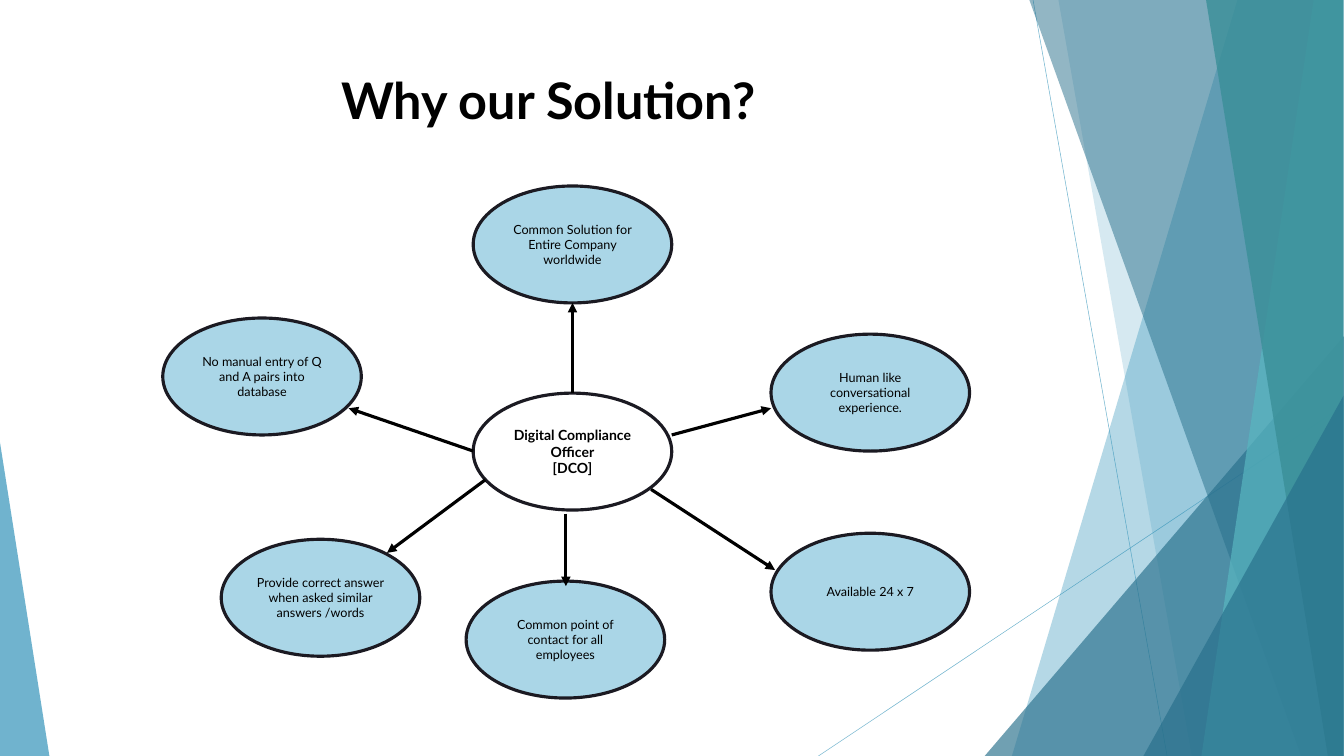
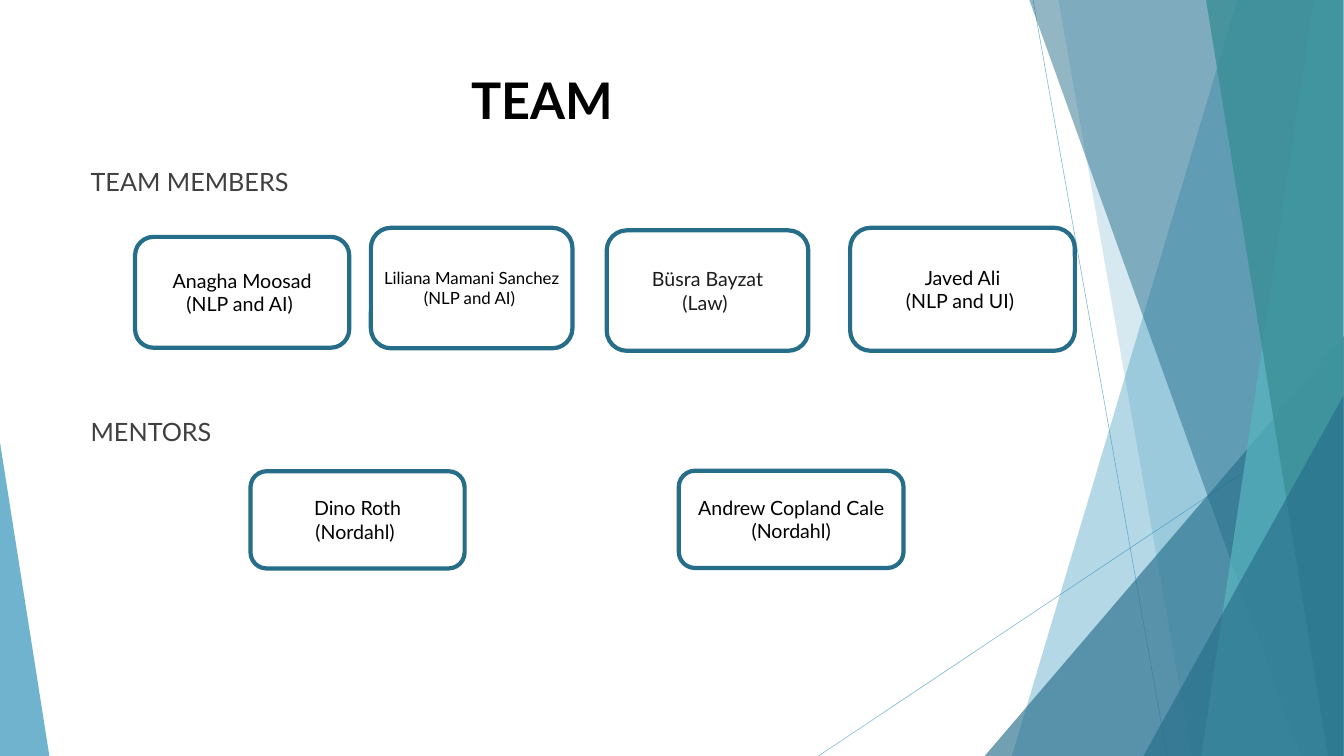
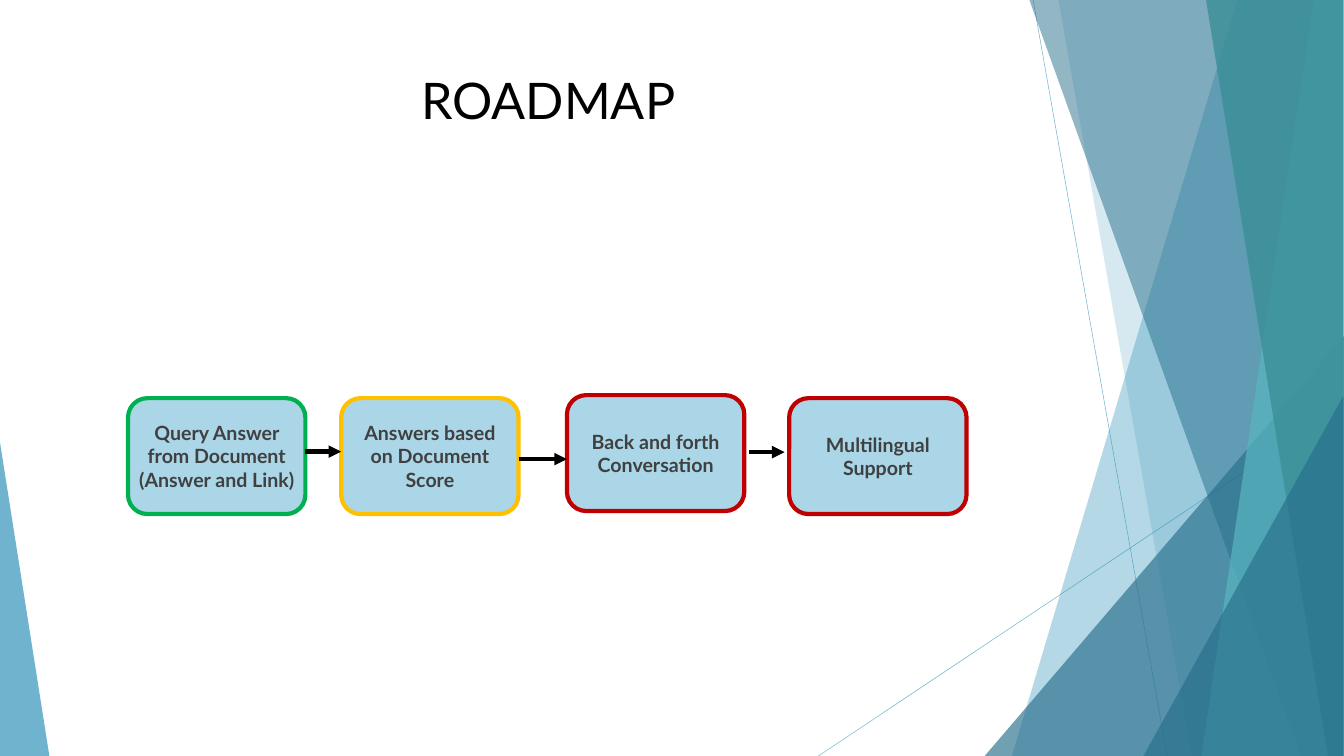
from lxml import etree
from pptx import Presentation
from pptx import util as u
from pptx.dml import color
from pptx.enum import shapes, text
from pptx.oxml import ns

COLOURS = {
    "black": "000000", "ink": "1D1C1D", "grey": "404040", "white": "FFFFFF",
    "outline": "1B1A22", "pale": "AAD6E7", "frame": "266D8A",
    "blue": "3494BA", "deep": "276F8B", "aqua": "58B6C0", "teal": "3A8F98",
    "done": "00B050", "current": "FFC000", "planned": "C00000",
}
FONT = "Lato"
WIDTH, HEIGHT = 26.67, 15
OVAL = (3.94, 2.32)
STEP = (3.52, 2.3)

# Band lines: start, end
BAND_LINES = [((20.5, 0), (23.16, 15)), ((26.66, 8.05), (16.24, 15))]
# Band parts, back to front. Panel: left and right edge at the top, left edge at the foot.
# Wedge: box and place of the peak.
BAND_PARTS = [
    ("panel", (24.56, 26.66, 20.08), "blue", 36),
    ("panel", (21, 26.66, 23.65), "blue", 20),
    ("wedge", (19.54, 6.67, 7.13, 8.33, 1), "deep", 66),
    ("panel", (20.42, 26.66, 25.82), "deep", 50),
    ("panel", (26.07, 26.66, 23.84), "aqua", 70),
    ("panel", (23.93, 26.66, 26.35), "teal", 80),
    ("wedge", (22.69, 7.85, 3.97, 7.15, 1), "deep", 66),
    ("wedge", (0, 8.78, 0.98, 6.22, 0), "blue", 70),
]


def rgb(name):
    return color.RGBColor.from_string(COLOURS[name])


def inches(*values):
    return [u.Inches(value) for value in values]


def set_alpha(element, percent):
    for clr in element.spPr.iter(ns.qn("a:srgbClr")):
        etree.SubElement(clr, ns.qn("a:alpha"), val=str(percent * 1000))


class Deck:
    def __init__(self):
        self.prs = Presentation()
        self.prs.slide_width, self.prs.slide_height = inches(WIDTH, HEIGHT)
        self.slide = None

    def new_slide(self, title, bold=True):
        self.slide = self.prs.slides.add_slide(self.prs.slide_layouts[6])
        self.band()
        self.label((1.48, 1.33, 18.8, 2.89), [title], size=72, bold=bold)

    def band(self):
        for start, end in BAND_LINES:
            self.line(start, end, "blue", 0.75, alpha=70)
        draw = {"panel": self.panel, "wedge": self.wedge}
        for kind, place, colour, alpha in BAND_PARTS:
            draw[kind](place, colour, alpha)

    def panel(self, place, colour, alpha):
        top_left, right, foot_left = place
        corners = [(top_left, -0.02), (right, -0.02), (right, HEIGHT), (foot_left, HEIGHT)]
        points = [inches(*corner) for corner in corners]
        builder = self.slide.shapes.build_freeform(*points[0])
        builder.add_line_segments(points[1:], close=True)
        self.paint(builder.convert_to_shape(), colour, alpha=alpha)

    def wedge(self, place, colour, alpha):
        *box, peak = place
        wedge = self.slide.shapes.add_shape(
            shapes.MSO_SHAPE.ISOSCELES_TRIANGLE, *inches(*box))
        wedge.adjustments[0] = peak
        self.paint(wedge, colour, alpha=alpha)

    def paint(self, shape, fill=None, edge=None, weight=0, alpha=None):
        shape.shadow.inherit = False
        for part, name in ((shape.fill, fill), (shape.line.fill, edge)):
            if name:
                part.solid()
                part.fore_color.rgb = rgb(name)
            else:
                part.background()
        if edge:
            shape.line.width = u.Pt(weight)
        if alpha:
            set_alpha(shape._element, alpha)

    def line(self, start, end, colour="black", weight=4.5, alpha=None, arrow=False):
        line = self.slide.shapes.add_connector(
            shapes.MSO_CONNECTOR.STRAIGHT, *inches(*start, *end))
        line.line.width = u.Pt(weight)
        line.line.color.rgb = rgb(colour)
        props = line._element.spPr
        if arrow:
            etree.SubElement(props.find(ns.qn("a:ln")), ns.qn("a:tailEnd"), type="triangle")
        if alpha:
            set_alpha(line._element, alpha)
        etree.SubElement(props, ns.qn("a:effectLst"))

    def set_text(self, frame, lines, size, colour="black", bold=False,
                 align=text.PP_ALIGN.CENTER, anchor=text.MSO_ANCHOR.MIDDLE, gap=0):
        frame.word_wrap = True
        frame.vertical_anchor = anchor
        look = {"name": FONT, "size": u.Pt(size), "bold": bold}
        for index, words in enumerate(lines):
            para = frame.add_paragraph() if index else frame.paragraphs[0]
            para.alignment = align
            para.space_before = u.Pt(gap if index else 0)
            run = para.add_run()
            run.text = words
            for key, value in look.items():
                setattr(run.font, key, value)
            run.font.color.rgb = rgb(colour)

    def label(self, box, lines, **style):
        label = self.slide.shapes.add_textbox(*inches(*box))
        self.set_text(label.text_frame, lines, anchor=text.MSO_ANCHOR.TOP, **style)

    def node(self, kind, box, lines, fill, edge, weight, **style):
        node = self.slide.shapes.add_shape(kind, *inches(*box))
        self.paint(node, fill, edge, weight)
        self.set_text(node.text_frame, lines, **style)

    def oval(self, corner, lines, fill="pale", **style):
        self.node(shapes.MSO_SHAPE.OVAL, (*corner, *OVAL), lines,
                  fill, "outline", 4.5, **style)

    def card(self, box, lines, fill=None, edge="frame", **style):
        self.node(shapes.MSO_SHAPE.ROUNDED_RECTANGLE, box, lines,
                  fill, edge, 6, **style)


def solution_slide(deck):
    deck.new_slide("Why our Solution?")
    deck.oval((9.39, 7.8), ["Digital Compliance Officer", "[DCO]"],
              fill="white", size=20, bold=True)
    # Each benefit: corner of its oval, words, arrow from the hub to it
    benefits = [
        ((3.23, 6.31), "No manual entry of Q and A pairs into database",
         (9.39, 8.95), (6.92, 8.1)),
        ((9.39, 3.69), "Common Solution for Entire Company worldwide",
         (11.36, 7.8), (11.36, 6.01)),
        ((15.3, 6.63), "Human like conversational experience.",
         (13.33, 8.63), (15.3, 8.1)),
        ((15.3, 10.58), "Available 24 x 7", (12.92, 9.71), (15.38, 11.31)),
        ((4.39, 10.7), "Provide correct answer when asked similar answers /words",
         (9.63, 9.52), (7.68, 10.97)),
        ((9.25, 11.53), "Common point of contact for all employees",
         (11.23, 10.19), (11.23, 11.63)),
    ]
    for corner, words, start, end in benefits:
        deck.oval(corner, [words], size=18)
        deck.line(start, end, arrow=True)


def team_slide(deck):
    deck.new_slide("TEAM ")
    deck.label((1.7, 3.25, 18.8, 10.27), ["TEAM MEMBERS", "MENTORS"], size=36,
               colour="grey", align=text.PP_ALIGN.LEFT, gap=314)
    people = [
        ((2.68, 4.7, 4.25, 2.2), "Anagha Moosad", "(NLP and AI) ", 28, "black"),
        ((7.36, 4.52, 4, 2.39), "Liliana Mamani Sanchez", "(NLP and AI) ", 24, "black"),
        ((12.04, 4.57, 4, 2.39), "Büsra Bayzat", "(Law) ", 28, "ink"),
        ((16.87, 4.52, 4.46, 2.44), "Javed Ali", "(NLP and UI) ", 28, "black"),
        ((4.97, 9.35, 4.25, 1.93), "Dino Roth", "(Nordahl) ", 28, "black"),
        ((13.47, 9.34, 4.46, 1.93), "Andrew Copland Cale", "(Nordahl)", 28, "black"),
    ]
    for box, person, role, size, colour in people:
        deck.card(box, [person, role], size=size, colour=colour)


def roadmap_slide(deck):
    deck.new_slide("ROADMAP", bold=False)
    steps = [
        ((2.54, 7.9), ["Query Answer from Document", "(Answer and Link) "], "done"),
        ((6.77, 7.9), ["Answers based on Document Score"], "current"),
        ((11.25, 7.84), ["Back and forth Conversation"], "planned"),
        ((15.66, 7.9), ["Multilingual Support"], "planned"),
    ]
    for corner, lines, status in steps:
        deck.card((*corner, *STEP), lines, fill="pale", edge=status,
                  size=28, colour="grey", bold=True)
    for left, right, y in [(6.06, 6.77, 8.96), (10.29, 11.25, 9.11), (14.86, 15.57, 8.97)]:
        deck.line((left, y), (right, y), weight=6, arrow=True)


def main():
    deck = Deck()
    for build in (solution_slide, team_slide, roadmap_slide):
        build(deck)
    deck.prs.save("out.pptx")


if __name__ == "__main__":
    main()
